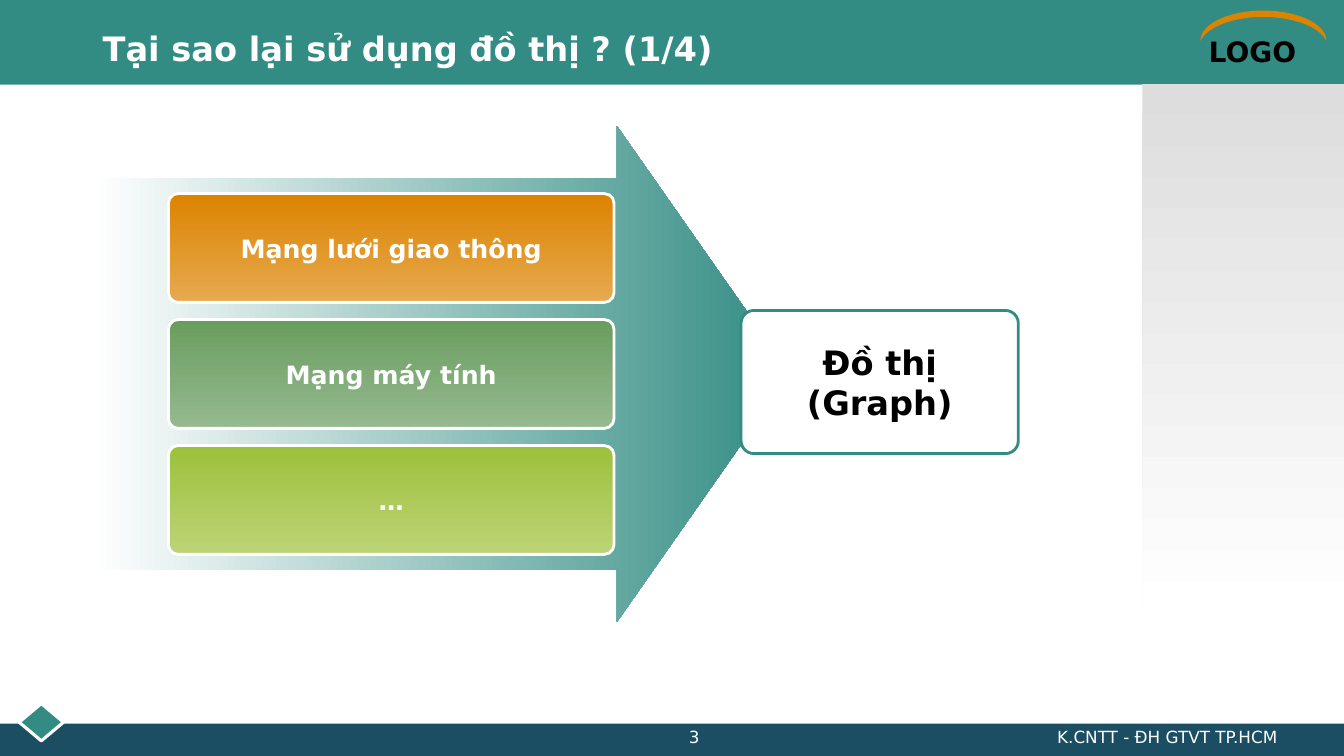
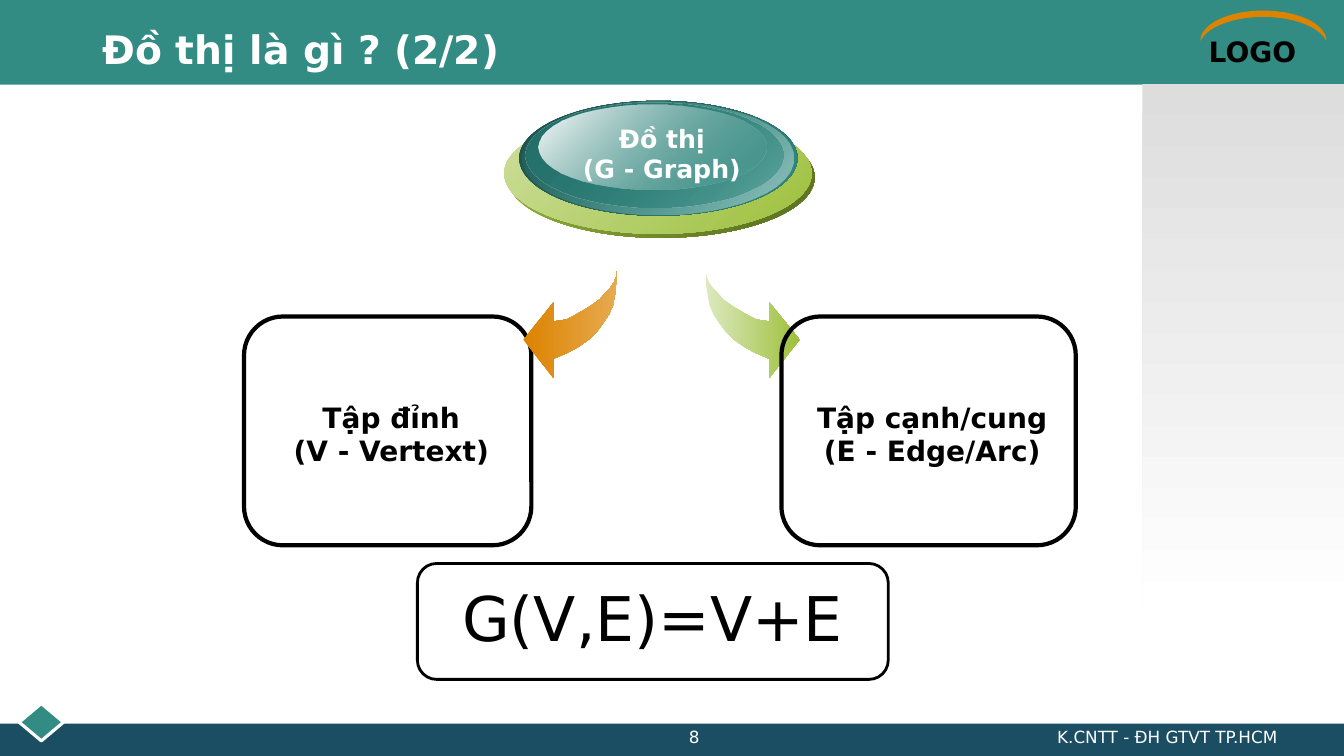
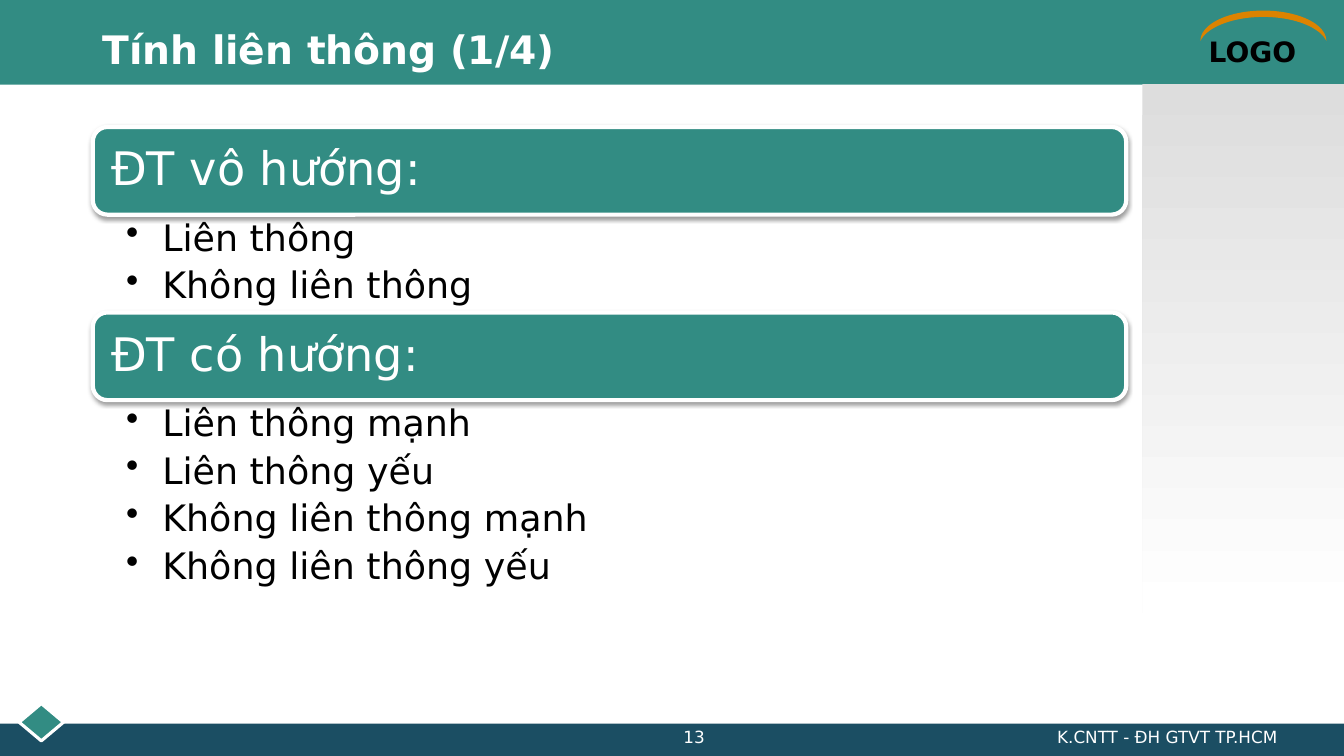
"""Build three slides about graphs and connectivity."""
from lxml import etree
from pptx import Presentation
from pptx import util as u
from pptx.dml.color import RGBColor
from pptx.enum import shapes, text
from pptx.oxml.ns import qn

FONT = "DejaVu Sans"
HUE = {
    "teal": "328C83", "navy": "1B4E63", "orange": "DC8300", "lime": "9DC03C",
    "green": "699D5F", "white": "FFFFFF", "black": "000000", "grey": "DDDDDD",
    "peach": "E7AA50", "sage": "96B98F", "pale": "BCD477", "cream": "DDE9BF",
    "moss": "566B1F", "mint": "CEDF9D", "deep": "1B4E4A", "mist": "98C5C1",
    "pine": "24706A",
}
KIND = shapes.MSO_SHAPE
SIDE = text.PP_ALIGN
MID = text.MSO_ANCHOR.MIDDLE
TOP = text.MSO_ANCHOR.TOP
AXIS = 6.56
CURVE = [
    (.44, 2.69), (.44, 2.81), (.46, 2.92), (.48, 3.03), (.52, 3.12), (.58, 3.21),
    (.64, 3.29), (.72, 3.37), (.82, 3.44), (.93, 3.5), (1.07, 3.56), (1.07, 3.75),
    (1.37, 3.37), (1.07, 3), (1.07, 3.19), (1.01, 3.18), (.94, 3.17), (.88, 3.14),
    (.81, 3.1), (.74, 3.06), (.68, 3.02), (.61, 2.97), (.56, 2.91), (.51, 2.86),
    (.47, 2.8), (.45, 2.75),
]


def rgb(name):
    """Return the colour with this name."""
    return RGBColor.from_string(HUE[name])


def paint(shape, fill=None, line=None, wide=2, angle=90, alpha=(100, 100)):
    """Fill with nothing, a colour or a pair of colours, and set the outline."""
    shape.shadow.inherit = False
    if fill is None:
        shape.fill.background()
    elif isinstance(fill, str):
        shape.fill.solid()
        shape.fill.fore_color.rgb = rgb(fill)
    else:
        shape.fill.gradient()
        shape.fill.gradient_angle = -angle % 360
        for stop, name in zip(shape.fill.gradient_stops, fill):
            stop.color.rgb = rgb(name)
        tones = shape.element.spPr.iter(qn("a:srgbClr"))
        for tone, part in zip(list(tones), alpha):
            if part < 100:
                etree.SubElement(tone, qn("a:alpha"), val=str(part * 1000))
    if line:
        shape.line.color.rgb = rgb(line)
        shape.line.width = u.Pt(wide)
    else:
        shape.line.fill.background()
    return shape


def draw(slide, kind, box, adj=(), **style):
    """Add a painted preset shape."""
    shape = slide.shapes.add_shape(kind, *map(u.Inches, box))
    for i, size in enumerate(adj):
        shape.adjustments[i] = size
    return paint(shape, **style)


def write(shape, lines, size=18, hue="white", bold=False, side=SIDE.CENTER,
          anchor=MID, pad=(.1, .05, .1, .05), space=None, after=None, bullet=0):
    """Put lines of text in a shape."""
    frame = shape.text_frame
    frame.word_wrap = True
    frame.vertical_anchor = anchor
    (frame.margin_left, frame.margin_top,
     frame.margin_right, frame.margin_bottom) = map(u.Inches, pad)
    for i, words in enumerate(lines):
        para = frame.add_paragraph() if i else frame.paragraphs[0]
        para.alignment = side
        if space:
            para.line_spacing = space
        if after:
            para.space_after = u.Pt(after)
        if bullet:
            props = para._p.get_or_add_pPr()
            props.set("marL", str(u.Inches(bullet)))
            props.set("indent", str(-u.Inches(bullet)))
            etree.SubElement(props, qn("a:buChar"), char="•")
        run = para.add_run()
        run.text = words
        font = run.font
        font.name, font.size, font.bold = FONT, u.Pt(size), bold
        font.color.rgb = rgb(hue)


def label(slide, box, *lines, **style):
    """Add a text box."""
    write(slide.shapes.add_textbox(*map(u.Inches, box)), lines, **style)


def shade(shape):
    """Give a shape a soft shadow below it."""
    props = shape.element.spPr
    glow = etree.SubElement(props.find(qn("a:effectLst")), qn("a:outerShdw"),
                            blurRad="40000", dist="20000", dir="5400000", rotWithShape="0")
    tone = etree.SubElement(glow, qn("a:srgbClr"), val=HUE["black"])
    etree.SubElement(tone, qn("a:alpha"), val="38000")


def start(deck, title, page, size=28):
    """Add a slide with the shared bands, title and footer."""
    slide = deck.slides.add_slide(deck.slide_layouts[6])
    draw(slide, KIND.RECTANGLE, (0, 0, 13.33, .84), fill="teal")
    draw(slide, KIND.RECTANGLE, (0, 7.18, 13.33, .33), fill="navy")
    draw(slide, KIND.DIAMOND, (.19, 6.98, .44, .37), fill="teal", line="white", wide=2.25)
    label(slide, (11.89, .29, 1.44, .43), "LOGO", size=20, hue="black", bold=True,
          side=SIDE.LEFT, anchor=TOP)
    moon = draw(slide, KIND.MOON, (12.38, -.37, .3, 1.25), [.21], fill="orange")
    moon.rotation = 90
    draw(slide, KIND.RECTANGLE, (11.33, .83, 2, 5.25), fill=("grey", "white"))
    label(slide, (.92, .17, 10.25, .62), title, size=size, bold=True, side=SIDE.LEFT)
    label(slide, (5.33, 7.16, 3.11, .26), str(page), size=12, anchor=TOP)
    label(slide, (9.33, 7.16, 3.44, .26), "K.CNTT - ĐH GTVT TP.HCM", size=12,
          side=SIDE.RIGHT, anchor=TOP)
    return slide


def swoop(slide, way, fill):
    """Add a curved arrow going left (-1) or right (1) of the axis."""
    spots = [(u.Inches(AXIS + way * x), u.Inches(y)) for x, y in CURVE]
    pen = slide.shapes.build_freeform(*spots[0], scale=1.0)
    pen.add_line_segments(spots[1:], close=True)
    paint(pen.convert_to_shape(), fill=fill, angle=0)


def reasons(deck):
    """Show the uses that lead to graphs."""
    slide = start(deck, "Tại sao lại sử dụng đồ thị ? (1/4)", 3, size=24)
    draw(slide, KIND.RIGHT_ARROW, (.92, 1.25, 6.92, 4.92), [.79, .35],
         fill=("white", "teal"), angle=0)
    uses = [("Mạng lưới giao thông", ("orange", "peach")),
            ("Mạng máy tính", ("green", "sage")),
            ("…", ("lime", "pale"))]
    for i, (words, fill) in enumerate(uses):
        card = draw(slide, KIND.ROUNDED_RECTANGLE, (1.67, 1.92 + 1.25 * i, 4.42, 1.08),
                    [.09], fill=fill, line="white")
        write(card, [words], bold=True)
    goal = draw(slide, KIND.ROUNDED_RECTANGLE, (7.35, 3.08, 2.75, 1.42), [.09],
                fill="white", line="teal")
    write(goal, ["Đồ thị", "(Graph)"], size=24, hue="black", bold=True)


def parts(deck):
    """Show a graph as vertices and edges."""
    slide = start(deck, "Đồ thị là gì ? (2/2)", 8)

    def part(left, wide, *lines):
        """Add an outlined box for one part."""
        card = draw(slide, KIND.ROUNDED_RECTANGLE, (left, 3.14, wide, 2.27), [.17],
                    line="black", wide=3)
        write(card, lines, size=20, hue="black", bold=True, pad=(.17, .11, .1, .05))

    part(2.42, 2.85, "Tập đỉnh", "(V - Vertext)")
    swoop(slide, -1, ("orange", "peach"))
    swoop(slide, 1, ("cream", "lime"))
    discs = [
        ((5.03, 1.16, 3.05, 1.2), ("lime", "moss"), (100, 100)),
        ((5, 1.12, 3.05, 1.2), ("mint", "lime"), (100, 100)),
        ((5.15, 1, 2.76, 1.14), ("deep", "teal"), (100, 100)),
        ((5.18, 1.01, 2.69, 1.12), ("teal", "mist"), (0, 100)),
        ((5.21, 1.02, 2.56, 1.04), ("pine", "teal"), (100, 48)),
        ((5.34, 1.04, 2.26, .84), ("white", "teal"), (100, 38)),
    ]
    for box, fill, alpha in discs:
        draw(slide, KIND.OVAL, box, fill=fill, angle=45, alpha=alpha)
    label(slide, (5.65, 1.17, 1.83, .71), "Đồ thị", "(G - Graph)", bold=True)
    part(7.75, 2.92, "Tập cạnh/cung", "(E - Edge/Arc)")
    sum_box = draw(slide, KIND.ROUNDED_RECTANGLE, (4.14, 5.59, 4.67, 1.15),
                   fill="white", line="black")
    write(sum_box, ["G(V,E)=V+E"], size=44, hue="black", space=.9)


def links(deck):
    """List the kinds of connectivity."""
    slide = start(deck, "Tính liên thông (1/4)", 13)
    kinds = [("ĐT vô hướng:", ["Liên thông", "Không liên thông"]),
             ("ĐT có hướng:", ["Liên thông mạnh", "Liên thông yếu",
                               "Không liên thông mạnh", "Không liên thông yếu"])]
    top, high, row = 1.26, .87, .485
    for head, items in kinds:
        bar = draw(slide, KIND.ROUNDED_RECTANGLE, (.92, top, 10.25, high),
                   fill="teal", line="white", wide=3)
        shade(bar)
        write(bar, [head], size=33, side=SIDE.LEFT, space=.9, pad=(.14, .05, .14, .05))
        top += high
        label(slide, (.92, top, 10.25, row * len(items)), *items, size=26, hue="black",
              side=SIDE.LEFT, anchor=TOP, pad=(.33, .05, .26, .05),
              space=.9, after=6, bullet=.36)
        top += row * len(items)


def main():
    """Build and save the deck."""
    deck = Presentation()
    deck.slide_width, deck.slide_height = u.Inches(13.33), u.Inches(7.5)
    reasons(deck)
    parts(deck)
    links(deck)
    deck.save("out.pptx")


if __name__ == "__main__":
    main()
